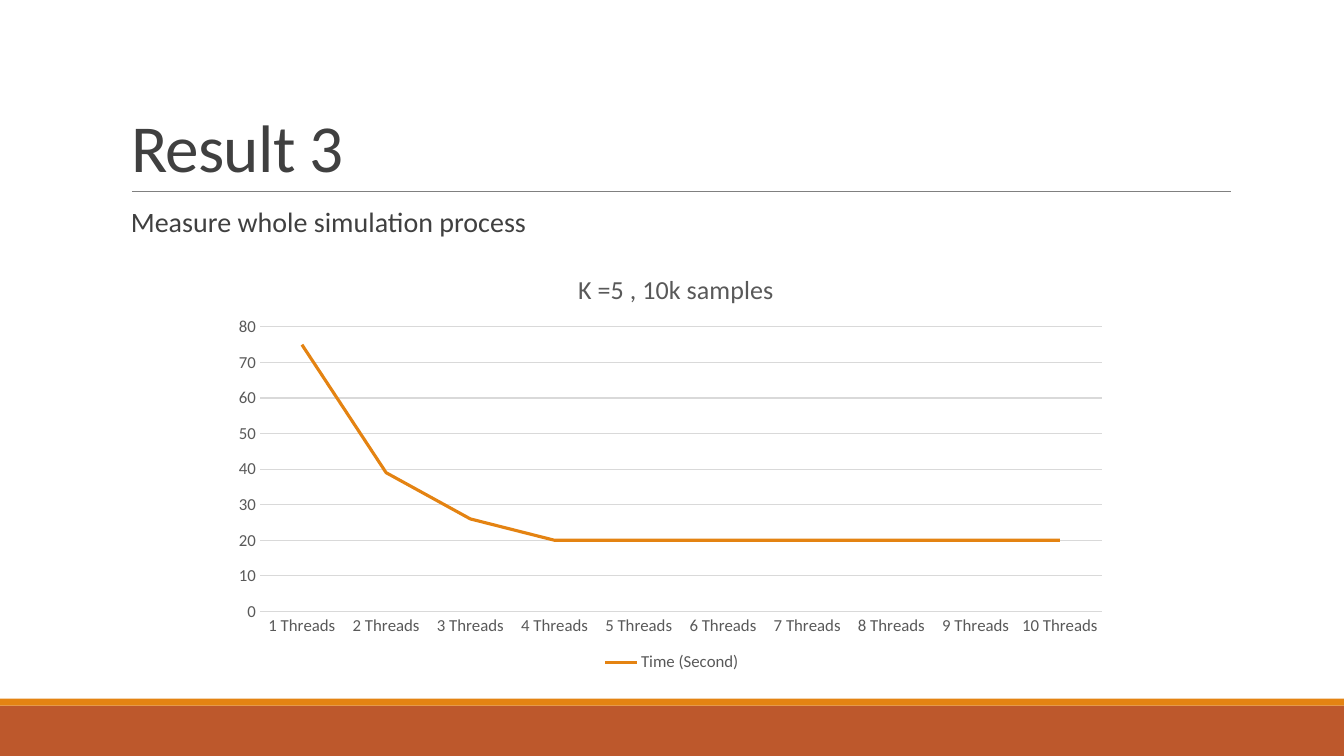
from pptx import Presentation
from pptx.chart.data import CategoryChartData as ChartData
from pptx.dml.color import RGBColor
from pptx.enum.chart import XL_CHART_TYPE as Kind, XL_LEGEND_POSITION as Spot
from pptx.enum.chart import XL_TICK_MARK as Tick
from pptx.enum.shapes import MSO_CONNECTOR as Link, MSO_SHAPE as Shape
from pptx.enum.text import MSO_ANCHOR as Anchor, MSO_AUTO_SIZE as Fit
from pptx.oxml import parse_xml
from pptx.oxml.ns import nsdecls, qn
from pptx.util import Pt
from lxml import etree

TITLE = "Result 3"
LEAD = "Measure whole simulation process"
HEAD = "K =5 , 10k samples"
SERIES = "Time (Second)"
TIMES = [75, 39, 26, 20, 20, 20, 20, 20, 20, 20]
CATS = [f"{n} Threads" for n in range(1, len(TIMES) + 1)]

FONT = "Calibri"
WHITE = RGBColor(0xFF, 0xFF, 0xFF)
RUST = RGBColor(0xBD, 0x58, 0x2C)
ORANGE = RGBColor(0xE4, 0x83, 0x12)
DARK = RGBColor(0x40, 0x40, 0x40)
MID = RGBColor(0x59, 0x59, 0x59)
RULE = RGBColor(0x80, 0x80, 0x80)
GRID = RGBColor(0xD9, 0xD9, 0xD9)
WIDE, HIGH = 960, 540
LEFT, SPAN = 86.4, 792

deck = Presentation()
deck.slide_width, deck.slide_height = Pt(WIDE), Pt(HIGH)
slide = deck.slides.add_slide(deck.slide_layouts[5])
slide.background.fill.solid()
slide.background.fill.fore_color.rgb = WHITE


def style(font, size, color):
    font.name, font.size, font.bold = FONT, Pt(size), False
    font.color.rgb = color


def write(shape, text, size=20, anchor=Anchor.TOP, lead=0.9, before=0, after=0, track=0):
    frame = shape.text_frame
    frame.word_wrap, frame.auto_size = True, Fit.NONE
    frame.vertical_anchor = anchor
    para = frame.paragraphs[0]
    para.alignment = 1
    para.line_spacing = lead
    para.space_before, para.space_after = Pt(before), Pt(after)
    run = para.add_run()
    run.text = text
    style(run.font, size, DARK)
    if track:
        run.font._element.set("spc", str(track))


def place(x, y, w=None, h=None):
    """Build a manual chart layout from fractions of the chart area."""
    parts = [("xMode", "edge"), ("yMode", "edge"), ("x", x), ("y", y)]
    if w:
        parts = [("layoutTarget", "inner")] + parts + [("w", w), ("h", h)]
    inner = "".join(f'<c:{tag} val="{val}"/>' for tag, val in parts)
    return parse_xml(f'<c:layout {nsdecls("c")}><c:manualLayout>{inner}'
                     '</c:manualLayout></c:layout>')


def stroke(line, color, width):
    line.color.rgb, line.width = color, Pt(width)


# Footer bands and title rule
for top, tall, color in [(504, 36, RUST), (499, 5, ORANGE)]:
    band = slide.shapes.add_shape(Shape.RECTANGLE, 0, Pt(top), Pt(WIDE), Pt(tall))
    band.shadow.inherit = False
    band.fill.solid()
    band.fill.fore_color.rgb = color
    band.line.fill.background()

rule = slide.shapes.add_connector(Link.STRAIGHT, Pt(94.3), Pt(136.8), Pt(879), Pt(136.8))
stroke(rule.line, RULE, 0.5)
etree.SubElement(rule._element.spPr, qn("a:effectLst"))

# Title and lead text
title = slide.shapes.title
title.left, title.top, title.width, title.height = Pt(LEFT), Pt(22.3), Pt(SPAN), Pt(114.5)
write(title, TITLE, size=48, anchor=Anchor.BOTTOM, lead=0.85, track=-50)

body = slide.shapes.add_textbox(Pt(LEFT), Pt(145.4), Pt(SPAN), Pt(316.8))
write(body, LEAD, before=12, after=2)

# Chart
data = ChartData()
data.categories = CATS
data.add_series(SERIES, TIMES)
chart = slide.shapes.add_chart(Kind.LINE, Pt(160), Pt(175), Pt(640), Pt(308), data).chart
style(chart.font, 12, MID)

chart.has_title = True
head = chart.chart_title
head.include_in_layout = False
head.text_frame.text = HEAD
style(head.text_frame.paragraphs[0].runs[0].font, 18.6, MID)
node = head._element
for old in node.findall(qn("c:layout")):
    node.remove(old)
node.find(qn("c:tx")).addnext(place(0.39, 0.05))

plot = chart.plots[0]
plot.vary_by_categories = False
area = plot._element.getparent()
for old in area.findall(qn("c:layout")):
    area.remove(old)
area.insert(0, place(0.04, 0.19, 0.94, 0.66))

line = plot.series[0]
line.smooth = False
stroke(line.format.line, ORANGE, 2.25)

chart.has_legend = True
chart.legend.position = Spot.BOTTOM
chart.legend.include_in_layout = False
style(chart.legend.font, 12, MID)

for axis in (chart.category_axis, chart.value_axis):
    axis.major_tick_mark = axis.minor_tick_mark = Tick.NONE
    style(axis.tick_labels.font, 12, MID)
stroke(chart.category_axis.format.line, GRID, 0.75)
scale = chart.value_axis
scale.minimum_scale, scale.maximum_scale, scale.major_unit = 0, 80, 10
scale.format.line.fill.background()
stroke(scale.major_gridlines.format.line, GRID, 0.75)

deck.save("out.pptx")
